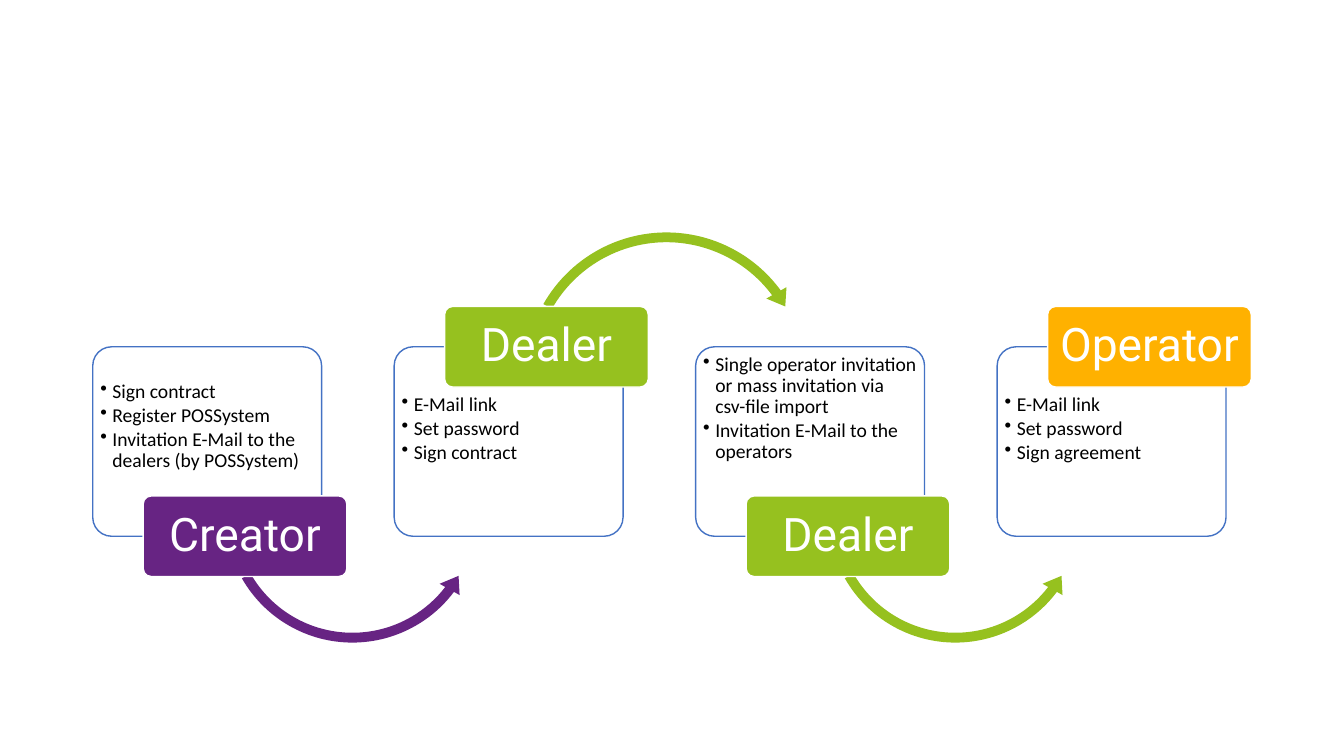
"""Build a four-step onboarding flow slide with alternating role labels."""
from lxml import etree
from pptx import Presentation
from pptx.dml.color import RGBColor
from pptx.enum.shapes import MSO_SHAPE
from pptx.enum.text import MSO_ANCHOR, PP_ALIGN
from pptx.oxml.ns import qn
from pptx.util import Inches, Pt

ROUND = MSO_SHAPE.ROUNDED_RECTANGLE
TOP, MIDDLE = MSO_ANCHOR.TOP, MSO_ANCHOR.MIDDLE
LEFT, CENTER = PP_ALIGN.LEFT, PP_ALIGN.CENTER

COLORS = {"white": "FFFFFF", "black": "000000", "outline": "4472C4",
          "purple": "672483", "green": "96C11F", "amber": "FFB100"}

GRID_X, PITCH = 0.92, 2.99
CARD_W, CARD_H, CARD_Y = 2.27, 1.88, 3.44
LABEL_W, LABEL_H, LABEL_DX = 2.02, 0.8, 0.5

CARD_TEXT = {"size": 14, "font": "Calibri", "color": "black", "align": LEFT,
             "anchor": TOP, "after": 2}
LABEL_TEXT = {"size": 33, "font": "Roboto", "color": "white", "align": CENTER,
              "anchor": MIDDLE, "after": 0}

ARROWS = {
    "below": {"shape": MSO_SHAPE.LEFT_CIRCULAR_ARROW, "dx": 1.25, "y": 3.79, "size": 2.65,
              "adj": (0.037, 4.574, 22.329, 90.245, 0.043)},
    "above": {"shape": MSO_SHAPE.CIRCULAR_ARROW, "dx": 1.23, "y": 2.24, "size": 2.94,
              "adj": (0.033, 4.086, 194.159, 125.755, 0.039)},
}

STEPS = [
    ("Creator", "purple", "below", 0.29,
     ["Sign contract", "Register POSSystem",
      "Invitation E-Mail to the dealers (by POSSystem)"]),
    ("Dealer", "green", "above", 0.42,
     ["E-Mail link", "Set password", "Sign contract"]),
    ("Dealer", "green", "below", 0.02,
     ["Single operator invitation or mass invitation via csv-file import",
      "Invitation E-Mail to the operators"]),
    ("Operator", "amber", "above", 0.42,
     ["E-Mail link", "Set password", "Sign agreement"]),
]


def add_box(kind, box, fill, line, adj):
    sp = s.shapes.add_shape(kind, *[Inches(v) for v in box])
    sp.shadow.inherit = False
    sp.fill.solid()
    sp.fill.fore_color.rgb = RGBColor.from_string(COLORS[fill])
    if line:
        sp.line.color.rgb = RGBColor.from_string(COLORS[line])
        sp.line.width = Pt(1)
    else:
        sp.line.fill.background()
    for i, value in enumerate(adj):
        sp.adjustments[i] = value
    return sp


def write(sp, lines, fmt, margins):
    tf = sp.text_frame
    tf.word_wrap = True
    tf.vertical_anchor = fmt["anchor"]
    for side, value in zip(("left", "top", "right", "bottom"), margins):
        setattr(tf, f"margin_{side}", Inches(value))
    for i, line in enumerate(lines):
        p = tf.add_paragraph() if i else tf.paragraphs[0]
        for name, value in {"alignment": fmt["align"], "line_spacing": 0.9,
                            "space_after": Pt(fmt["after"])}.items():
            setattr(p, name, value)
        r = p.add_run()
        r.text = line
        for name, value in {"size": Pt(fmt["size"]), "name": fmt["font"]}.items():
            setattr(r.font, name, value)
        r.font.color.rgb = RGBColor.from_string(COLORS[fmt["color"]])


prs = Presentation()
prs.slide_width, prs.slide_height = Inches(13.33), Inches(7.5)
s = prs.slides.add_slide(prs.slide_layouts[6])

for col, (role, color, side, top, tasks) in enumerate(STEPS):
    x = GRID_X + col * PITCH

    card = add_box(ROUND, (x, CARD_Y, CARD_W, CARD_H), "white", "outline", [0.1])
    write(card, tasks, CARD_TEXT, (0.02, top, 0.02, 0.02))
    for p in card.text_frame.paragraphs:
        pPr = p._p.get_or_add_pPr()
        pPr.set("marL", str(Inches(0.12)))
        pPr.set("indent", str(-Inches(0.12)))
        etree.SubElement(pPr, qn("a:buChar")).set("char", "•")

    if col < len(STEPS) - 1:
        arrow = ARROWS[side]
        add_box(arrow["shape"], (x + arrow["dx"], arrow["y"], arrow["size"], arrow["size"]),
                color, None, arrow["adj"])

    edge = CARD_Y + (CARD_H if side == "below" else 0)
    label = add_box(ROUND, (x + LABEL_DX, edge - LABEL_H / 2, LABEL_W, LABEL_H),
                    color, "white", [0.1])
    write(label, [role], LABEL_TEXT, (0.07, 0.05, 0.07, 0.05))

prs.save("out.pptx")
